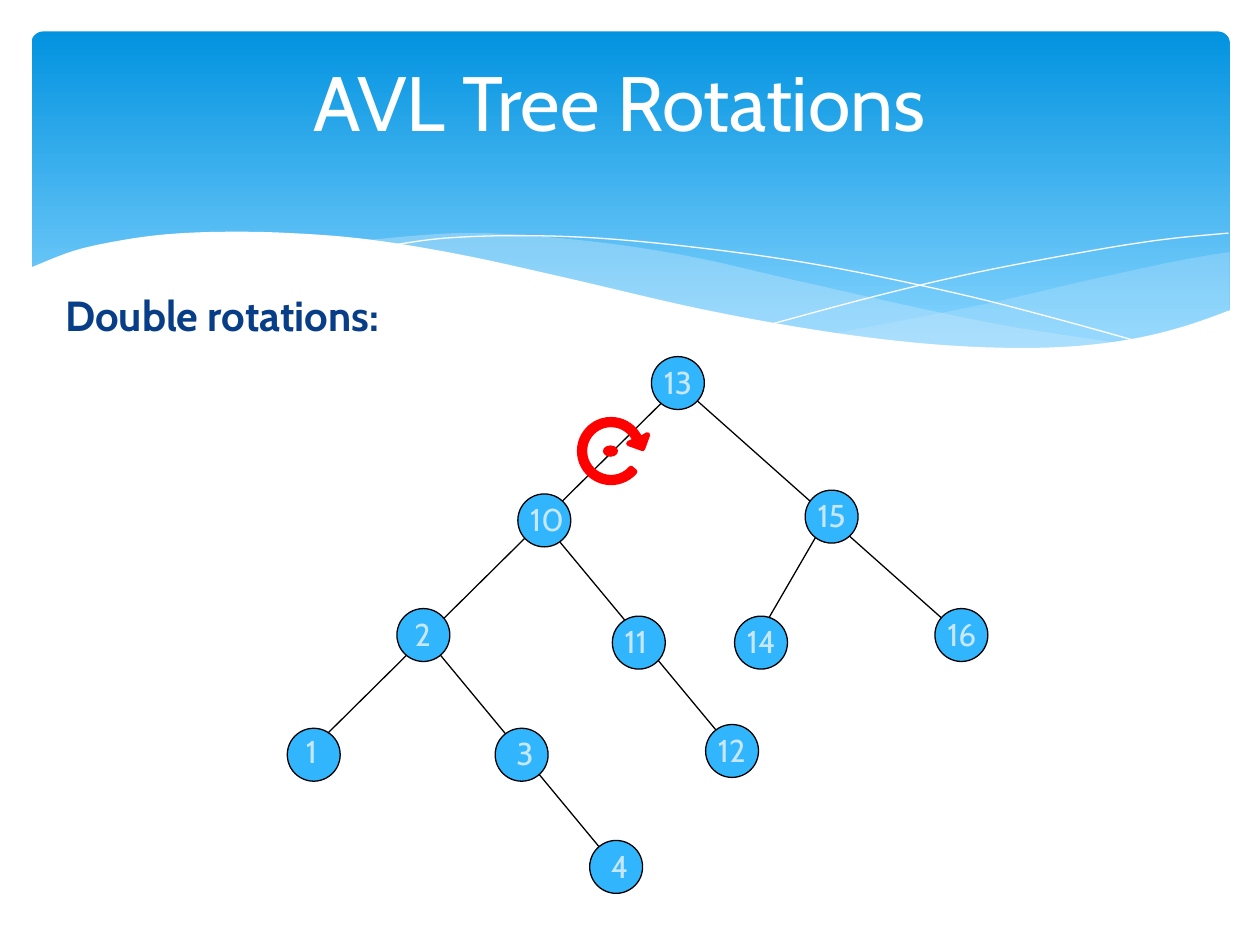
from math import cos, radians, sin

from pptx import Presentation
from pptx.dml.color import RGBColor
from pptx.enum.shapes import MSO_CONNECTOR, MSO_SHAPE
from pptx.enum.text import MSO_ANCHOR, MSO_AUTO_SIZE, PP_ALIGN
from pptx.oxml.ns import qn
from pptx.oxml.xmlchemy import OxmlElement
from pptx.util import Inches, Pt

FONT = "Cabin"
WHITE = RGBColor(0xFF, 0xFF, 0xFF)
BLACK = RGBColor(0x00, 0x00, 0x00)
RED = RGBColor(0xFF, 0x00, 0x00)
NAVY = RGBColor(0x07, 0x3E, 0x87)
NODE_BLUE = RGBColor(0x31, 0xB6, 0xFD)
PALE_BLUE = RGBColor(0xC6, 0xE7, 0xFC)
BANNER_TOP = RGBColor(0x02, 0x93, 0xE0)
BANNER_BOTTOM = RGBColor(0x83, 0xD3, 0xFE)

TITLE = "AVL Tree Rotations"
HEADING = "Double rotations:"

# Node label, left, top, horizontal and vertical shift of the label
NODE_SIZE = 0.42
NODES = [
    ("1", 2.28, 5.78, 0.05, -0.02), ("3", 3.93, 5.78, 0.07, 0),
    ("13", 5.17, 2.83, 0, 0), ("15", 6.39, 3.89, 0, 0),
    ("16", 7.42, 4.83, 0, 0), ("10", 4.11, 3.92, 0, 0),
    ("14", 5.83, 4.89, 0, 0), ("2", 3.15, 4.83, 0.04, 0),
    ("11", 4.86, 4.89, 0, 0), ("12", 5.6, 5.75, 0, 0),
    ("4", 4.68, 6.67, 0.07, 0),
]
# Each branch runs behind several nodes
BRANCHES = [
    (2.5, 5.92, 5.39, 3.06), (3.33, 5, 4.92, 6.92), (4.26, 4.08, 5.92, 6.08),
    (6.58, 4.08, 6, 5.08), (5.33, 3, 7.58, 5),
]

# Waves: smooth edges, joined by straight lines; then fill and opacity %
WAVES = [
    ([[(9.76, 2), (9.35, 2.07), (8.61, 2.23), (7.79, 2.42), (6.61, 2.65)],
      [(6.61, 2.65), (7.19, 2.72), (7.69, 2.77), (8.14, 2.78), (8.63, 2.75),
       (9.13, 2.67), (9.49, 2.57), (9.76, 2.47)]], PALE_BLUE, 29),
    ([[(8.93, 2.73), (8.07, 2.6), (7.41, 2.47), (6.29, 2.22), (5.55, 2.05),
       (4.89, 1.94), (4.2, 1.87), (3.61, 1.85), (2.86, 1.91)],
      [(2.86, 1.91), (3.62, 2.03), (4.49, 2.22), (5.3, 2.4), (6.18, 2.58),
       (6.95, 2.7), (7.61, 2.77), (8.18, 2.78), (8.93, 2.73)]], PALE_BLUE, 40),
    ([[(3.09, 1.95), (3.53, 1.89), (4.16, 1.87), (4.89, 1.9), (5.82, 2),
       (6.65, 2.13), (7.6, 2.33), (8.31, 2.51), (9.07, 2.72)]], None, 100),
    ([[(6.13, 2.57), (6.95, 2.35), (7.76, 2.16), (8.66, 1.99), (9.24, 1.9),
       (9.75, 1.85)]], None, 100),
    ([[(9.77, 2.46), (9.4, 2.59), (8.99, 2.69), (8.5, 2.75), (7.93, 2.76),
       (7.26, 2.72), (6.48, 2.62), (5.55, 2.45), (4.47, 2.2), (3.65, 2.02),
       (2.92, 1.9), (2.3, 1.85), (1.77, 1.84), (1.32, 1.86), (0.95, 1.91),
       (0.59, 1.99), (0.23, 2.13)],
      [(0.23, 3.29), (9.77, 3.29)]], WHITE, 100),
]

# Rotation arrow: ring centre, radii, degrees clockwise from east
RING = (4.85, 3.58)
OUTER, INNER = 0.25, 0.21
RING_START, RING_END = 41, 335
ARROW_HEAD = [(5.09, 3.48), (5.14, 3.45), (5.1, 3.56), (4.99, 3.52), (5.05, 3.49)]


def smooth(points, steps=6):
    """Catmull-Rom curve through the points."""
    if len(points) < 3:
        return points
    ends = [points[0]] + points + [points[-1]]
    curve = [points[0]]
    for a, b, c, d in zip(ends, ends[1:], ends[2:], ends[3:]):
        for i in range(1, steps + 1):
            t = i / steps
            curve.append(tuple(
                (2 * q + (r - p) * t + (2 * p - 5 * q + 4 * r - s) * t**2
                 + (3 * q - p - 3 * r + s) * t**3) / 2
                for p, q, r, s in zip(a, b, c, d)))
    return curve


def arc(radius, start, end):
    """Points along the ring from start to end."""
    angles = [radians(start + (end - start) * i / 40) for i in range(41)]
    return [(RING[0] + radius * cos(a), RING[1] + radius * sin(a)) for a in angles]


def style(s, fill, line, width=0.75):
    s.shadow.inherit = False
    if fill is None:
        s.fill.background()
    else:
        s.fill.solid()
        s.fill.fore_color.rgb = fill
    if line is None:
        s.line.fill.background()
    else:
        s.line.color.rgb = line
        s.line.width = Pt(width)
    return s


def add_outline(points, close):
    pts = [(Inches(x), Inches(y)) for x, y in points]
    builder = shapes.build_freeform(*pts[0], scale=1.0)
    builder.add_line_segments(pts[1:], close=close)
    return builder.convert_to_shape()


def add_ellipse(x, y, w, h, fill, line):
    s = shapes.add_shape(MSO_SHAPE.OVAL, Inches(x), Inches(y), Inches(w), Inches(h))
    return style(s, fill, line)


def add_text(text, x, y, w, h, size, color, bold=False):
    tf = shapes.add_textbox(Inches(x), Inches(y), Inches(w), Inches(h)).text_frame
    tf.word_wrap = True
    tf.text = text
    font = tf.paragraphs[0].runs[0].font
    font.name, font.size, font.bold = FONT, Pt(size), bold
    font.color.rgb = color
    return tf


prs = Presentation()
prs.slide_width, prs.slide_height = Inches(10), Inches(7.5)
shapes = prs.slides.add_slide(prs.slide_layouts[6]).shapes

# Banner
banner = shapes.add_shape(MSO_SHAPE.ROUNDED_RECTANGLE, Inches(0.25), Inches(0.25),
                          Inches(9.51), Inches(2.7))
style(banner, BANNER_TOP, None)
banner.adjustments[0] = 0.034
banner.fill.gradient()
banner.fill.gradient_angle = 270
stops = [(0, BANNER_TOP), (0.9, BANNER_BOTTOM)]
for stop, (position, color) in zip(banner.fill.gradient_stops, stops):
    stop.position = position
    stop.color.rgb = color

# Waves along the foot of the banner
for edges, fill, opacity in WAVES:
    points = [pt for edge in edges for pt in smooth(edge)]
    wave = add_outline(points, close=fill is not None)
    style(wave, fill, WHITE if fill is None else None, 0)
    if opacity < 100:
        alpha = OxmlElement("a:alpha")
        alpha.set("val", str(opacity * 1000))
        wave.fill._xPr.find(qn("a:solidFill"))[0].append(alpha)

# Title
tf = add_text(TITLE, 0.67, 0.17, 8.5, 1.25, 44, WHITE)
tf.vertical_anchor = MSO_ANCHOR.MIDDLE
tf.paragraphs[0].alignment = PP_ALIGN.CENTER

# Tree branches
for x1, y1, x2, y2 in BRANCHES:
    branch = shapes.add_connector(MSO_CONNECTOR.STRAIGHT, Inches(x1), Inches(y1),
                                  Inches(x2), Inches(y2))
    branch.line.color.rgb = BLACK
    branch.line.width = Pt(0.75)
    branch._element.spPr.append(OxmlElement("a:effectLst"))

# Tree nodes
for label, x, y, dx, dy in NODES:
    add_ellipse(x, y, NODE_SIZE, NODE_SIZE, NODE_BLUE, BLACK)
    tf = add_text(label, x + dx, y + dy, 0.5, 0.4, 18, PALE_BLUE)
    tf.auto_size = MSO_AUTO_SIZE.SHAPE_TO_FIT_TEXT

# Rotation arrow and its pivot
ring = arc(INNER, RING_END, RING_START) + arc(OUTER, RING_START, RING_END)
style(add_outline(ring + ARROW_HEAD, close=True), RED, RED, 3)
add_ellipse(4.79, 3.54, 0.11, 0.08, RED, RED)

# Heading
add_text(HEADING, 0.42, 2.25, 9.33, 0.67, 24, NAVY, bold=True)

prs.save("out.pptx")
